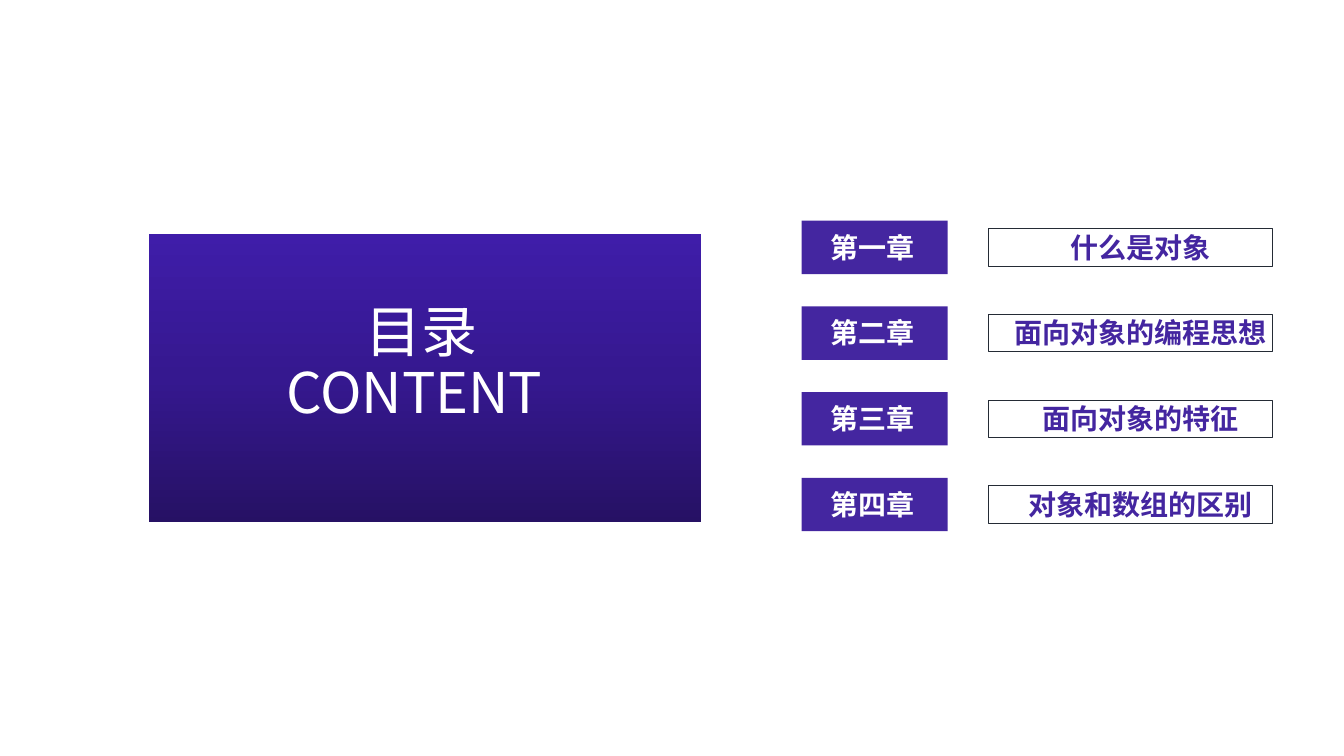
"""Build the contents slide with a title panel and four chapter rows."""
from copy import deepcopy
from dataclasses import dataclass

from pptx import Presentation
from pptx.dml.color import RGBColor
from pptx.enum.shapes import MSO_SHAPE
from pptx.enum.text import MSO_ANCHOR, MSO_AUTO_SIZE, PP_ALIGN
from pptx.oxml.ns import qn
from pptx.util import Inches, Pt

RECT = MSO_SHAPE.RECTANGLE
TOP = MSO_ANCHOR.TOP
GROW = MSO_AUTO_SIZE.SHAPE_TO_FIT_TEXT
LEFT, CENTER = PP_ALIGN.LEFT, PP_ALIGN.CENTER

TITLE = "目录"
SUB = "CONTENT"
ROWS = [
    ("第一章", "什么是对象", 2.31),
    ("第二章", "面向对象的编程思想", 3.62),
    ("第三章", "面向对象的特征", 2.31),
    ("第四章", "对象和数组的区别", 2.68),
]

PANEL = (1.47, 2.31, 5.49, 2.88)
FIRST, PITCH = 2.19, 0.85
TAG_X, TAG_W, TAG_H = 7.95, 1.45, 0.53
BOX_X, BOX_W, BOX_H = 9.8, 2.82, 0.37
NAME_X, NAME_W, TEXT_H = 8.14, 1.05, 0.44
TOPIC_MID = 11.31


@dataclass(frozen=True)
class Theme:
    font: str = "Noto Sans CJK SC"
    white: str = "FFFFFF"
    violet: str = "4426A0"
    edge: str = "242B35"
    fade: tuple = ("261164", "35188F", "3F1DA9")
    big: int = 40
    small: int = 20


THEME = Theme()


def rgb(code):
    return RGBColor.from_string(code)


def place(item, area):
    item.left, item.top, item.width, item.height = map(Inches, area)


def add_rect(slide, area, fill=None, line=None, width=0.75):
    rect = slide.shapes.add_shape(RECT, *map(Inches, area))
    rect.shadow.inherit = False
    if fill:
        rect.fill.solid()
        rect.fill.fore_color.rgb = rgb(fill)
    else:
        rect.fill.background()
    if line:
        rect.line.color.rgb = rgb(line)
        rect.line.width = Pt(width)
    else:
        rect.line.fill.background()
    return rect


def fade(rect):
    rect.fill.gradient()
    rect.fill.gradient_angle = 90
    stops = rect.element.find(".//" + qn("a:gsLst"))
    stops.insert(1, deepcopy(stops[0]))
    for i, (stop, code) in enumerate(zip(rect.fill.gradient_stops, THEME.fade)):
        stop.position = i / 2
        stop.color.rgb = rgb(code)


def write(item, text, size, color, bold=False, align=LEFT, wrap=True):
    frame = item.text_frame
    frame.text = text
    frame.word_wrap = wrap
    frame.auto_size = GROW
    frame.vertical_anchor = TOP
    para = frame.paragraphs[0]
    para.alignment = align
    font = para.font
    font.name = THEME.font
    font.size = Pt(size)
    font.bold = bold
    font.color.rgb = rgb(color)
    props = para.runs[0].font
    props.name = THEME.font
    latin = para.runs[0].element.find(".//" + qn("a:latin")) if hasattr(para.runs[0], "element") else None
    if latin is None:
        latin = item.element.find(".//" + qn("a:r")).find(".//" + qn("a:latin"))
    east = deepcopy(latin)
    east.tag = qn("a:ea")
    latin.addnext(east)


def add_text(slide, area, *args, **style):
    box = slide.shapes.add_textbox(*map(Inches, area))
    write(box, *args, **style)


def add_head(slide):
    fade(add_rect(slide, PANEL, line=THEME.white, width=1))
    title = slide.shapes.title
    place(title, (3.53, 2.89, 1.32, 0.77))
    write(title, TITLE, THEME.big, THEME.white, wrap=False)
    title.element.getparent().append(title.element)
    add_text(slide, (2.74, 3.5, 2.91, 0.77), SUB, THEME.big, THEME.white, wrap=False)


def add_row(slide, top, name, topic, width):
    mid = top + TAG_H / 2
    line = mid - TEXT_H / 2
    add_rect(slide, (BOX_X, mid - BOX_H / 2, BOX_W, BOX_H), line=THEME.edge)
    add_text(slide, (TOPIC_MID - width / 2, line, width, TEXT_H),
             topic, THEME.small, THEME.violet, bold=True, align=CENTER)
    add_rect(slide, (TAG_X, top, TAG_W, TAG_H), fill=THEME.violet)
    add_text(slide, (NAME_X, line, NAME_W, TEXT_H),
             name, THEME.small, THEME.white, bold=True)


def main():
    deck = Presentation()
    deck.slide_width, deck.slide_height = Inches(13.33), Inches(7.5)
    slide = deck.slides.add_slide(deck.slide_layouts[5])
    add_head(slide)
    for i, row in enumerate(ROWS):
        add_row(slide, FIRST + i * PITCH, *row)
    deck.save("out.pptx")


if __name__ == "__main__":
    main()
